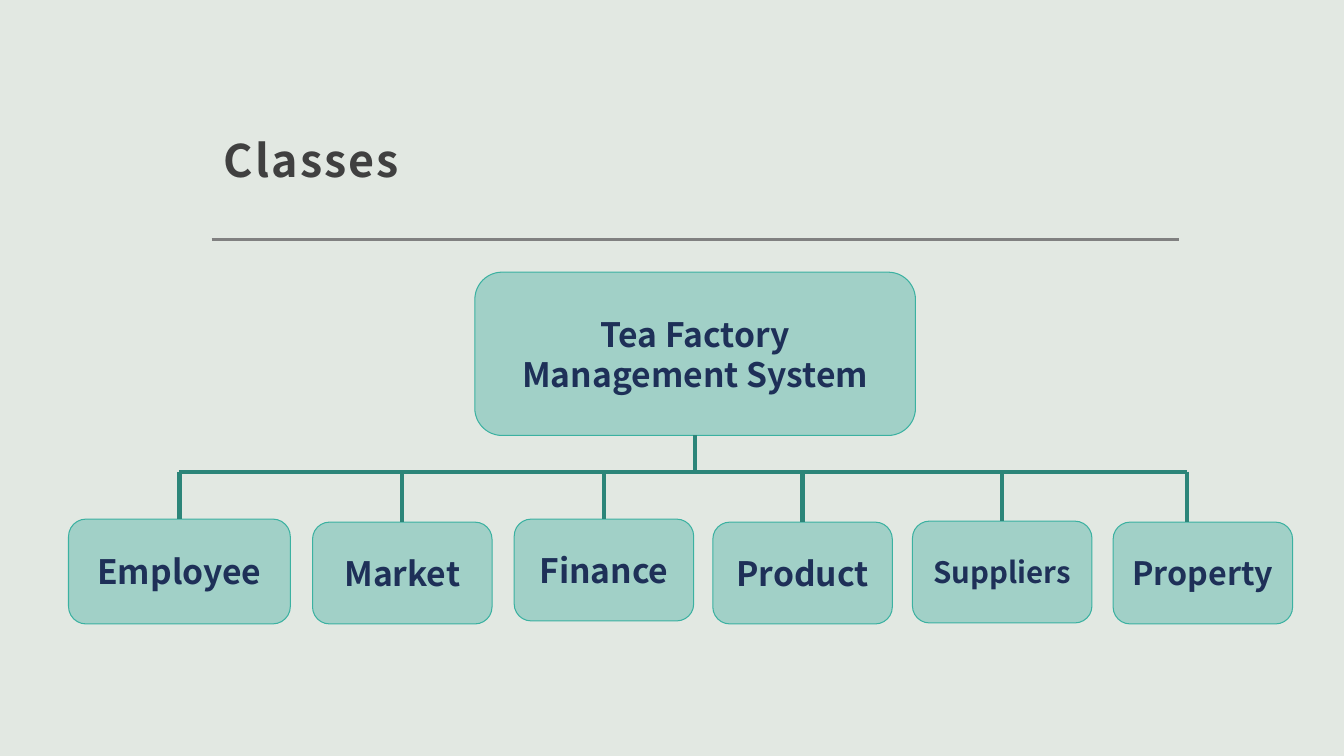
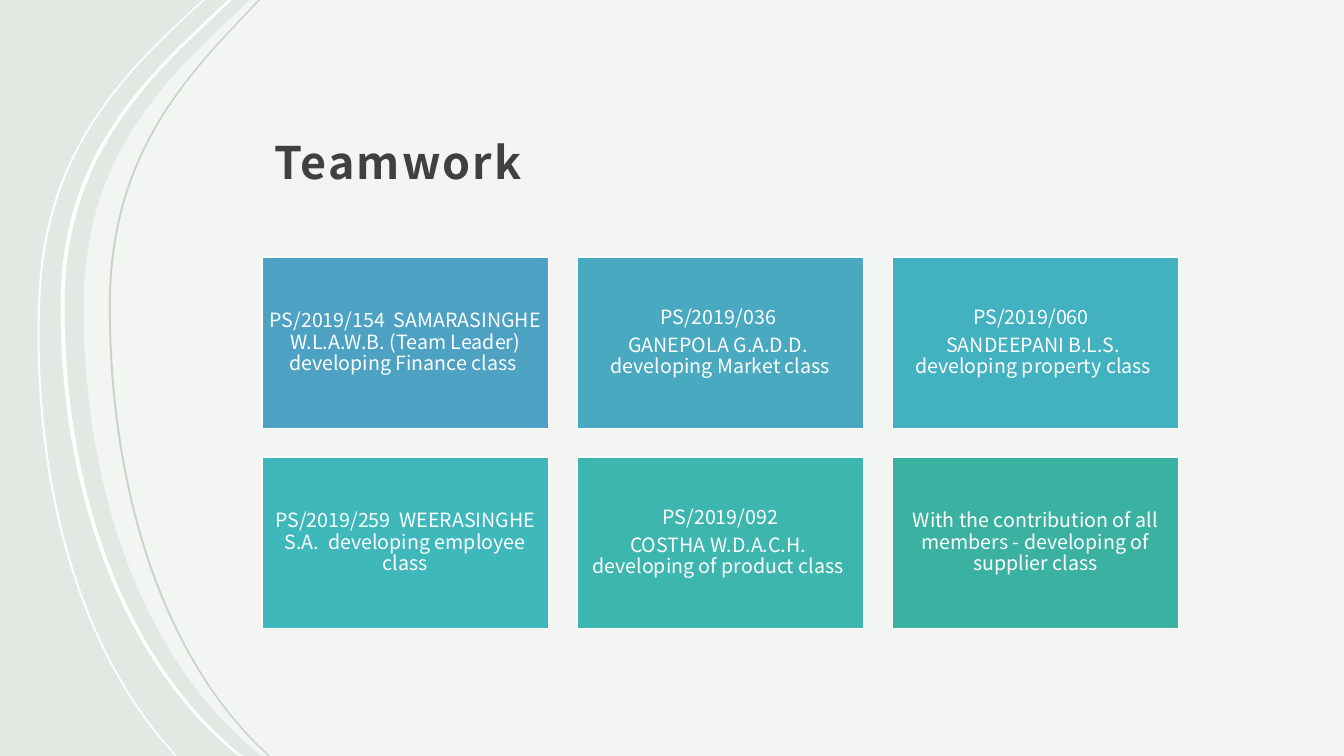
import lxml.etree
import pptx
import pptx.dml.color
import pptx.enum.shapes
import pptx.enum.text
import pptx.oxml.ns
import pptx.util

Inches, Pt = pptx.util.Inches, pptx.util.Pt
SHAPES = pptx.enum.shapes.MSO_SHAPE
ALIGN = pptx.enum.text.PP_ALIGN
ANCHOR = pptx.enum.text.MSO_ANCHOR
qn = pptx.oxml.ns.qn

WIDTH, HEIGHT = 13.33, 7.5
FONT = "Noto Sans CJK JP"
COLOURS = {
    "background": "E2E8E2", "title": "404040", "rule": "808080",
    "box": "A1D0C7", "box_edge": "3BB1A1", "box_text": "1E3058",
    "branch": "2C8579", "white": "FFFFFF", "thin_arc": "C8D4C8",
}

SYSTEM = ("Tea Factory Management System", 4.71, 2.7, 4.37, 1.62, 24)
CLASSES = [
    ("Employee", 0.68, 5.15, 2.2, 1.04, 24),
    ("Market", 3.1, 5.18, 1.78, 1.01, 24),
    ("Finance", 5.1, 5.15, 1.78, 1.01, 24),
    ("Product", 7.07, 5.18, 1.78, 1.01, 24),
    ("Suppliers", 9.05, 5.17, 1.78, 1.01, 21),
    ("Property", 11.04, 5.18, 1.78, 1.01, 23),
]
BUS_LEFT, BUS_RIGHT, BUS_TOP = 1.78, 11.77, 4.68

MEMBERS = [
    ("4DA2C3", ["PS/2019/154  SAMARASINGHE W.L.A.W.B. (Team Leader) developing Finance class "]),
    ("48A9C1", ["PS/2019/036 ", "GANEPOLA G.A.D.D.  developing Market class"]),
    ("42B1C0", ["PS/2019/060  ", "SANDEEPANI B.L.S.  developing property class "]),
    ("3FB8BC", ["PS/2019/259  WEERASINGHE S.A.  developing employee class"]),
    ("3DB6B0", ["PS/2019/092", "COSTHA W.D.A.C.H.  developing of product class "]),
    ("3BB1A1", ["With the contribution of all members - developing of supplier class"]),
]
CARD_COLUMNS = 3
CARDS_LEFT, CARDS_RIGHT, CARDS_TOP = 2.6, 11.69, 2.55
CARD_WIDTH, CARD_HEIGHT = 2.84, 1.7
CARD_GAP = (CARDS_RIGHT - CARDS_LEFT - CARD_COLUMNS * CARD_WIDTH) / (CARD_COLUMNS - 1)

ARC_Y = [0, 0.35, 1.04, 1.79, 3.04, 4.92, 6.57, 7.48, 7.5]
OUTER_ARC_Y = [0, 0.24, 0.93, 1.68, 2.97, 4.8, 6.45, 7.47, 7.5]
PANEL_X = [2.48, 2.11, 1.39, 0.83, 0.83, 0.83, 1.45, 2.57, 2.59]
ARCS = [
    ([2.01, 1.75, 1.02, 0.43, 0.38, 0.31, 0.78, 1.71, 1.73], OUTER_ARC_Y, 0.02, "white"),
    ([2.26, 1.89, 1.17, 0.6, 0.6, 0.6, 1.23, 2.34, 2.37], ARC_Y, 0.04, "white"),
    ([2.56, 2.23, 1.59, 1.08, 1.08, 1.08, 1.64, 2.64, 2.66], ARC_Y, 0.02, "thin_arc"),
]
EDGE_CURVES = [1, 4]
RIBBON_CURVES = EDGE_CURVES + [len(ARC_Y) + start for start in EDGE_CURVES]


def rgb(name):
    return pptx.dml.color.RGBColor.from_string(COLOURS.get(name, name))


def paint(shape, fill, edge=None, edge_width=0):
    shape.shadow.inherit = False
    shape.fill.solid()
    shape.fill.fore_color.rgb = rgb(fill)
    if edge:
        shape.line.color.rgb = rgb(edge)
        shape.line.width = Pt(edge_width)
    else:
        shape.line.fill.background()


def add_run(paragraph, text, size, colour, bold=False):
    run = paragraph.add_run()
    run.text = text
    run.font.name, run.font.size, run.font.bold = FONT, Pt(size), bold
    run.font.color.rgb = rgb(colour)
    return run


def add_slide(deck, title, left, top, width):
    slide = deck.slides.add_slide(deck.slide_layouts[5])
    heading = slide.shapes.title
    heading.left, heading.top = Inches(left), Inches(top)
    heading.width, heading.height = Inches(width), Inches(1.47)
    frame = heading.text_frame
    frame.auto_size = pptx.enum.text.MSO_AUTO_SIZE.NONE
    frame.vertical_anchor = ANCHOR.BOTTOM
    frame.margin_left = frame.margin_right = frame.margin_top = Inches(0.12)
    frame.margin_bottom = Inches(0.1)
    paragraph = frame.paragraphs[0]
    paragraph.alignment = ALIGN.LEFT
    paragraph.line_spacing = 1.3
    run = add_run(paragraph, title, 32, "title", True)
    run._r.get_or_add_rPr().set("spc", "150")
    return slide


def add_line(slide, start, end, colour, width):
    line = slide.shapes.add_connector(
        pptx.enum.shapes.MSO_CONNECTOR.STRAIGHT, *map(Inches, start + end))
    line.line.color.rgb = rgb(colour)
    line.line.width = Pt(width)
    lxml.etree.SubElement(line._element.spPr, qn("a:effectLst"))
    return line


def add_class(slide, name, left, top, width, height, size):
    box = slide.shapes.add_shape(
        SHAPES.ROUNDED_RECTANGLE, *map(Inches, (left, top, width, height)))
    paint(box, "box", "box_edge", 0.75)
    paragraph = box.text_frame.paragraphs[0]
    paragraph.alignment = ALIGN.CENTER
    add_run(paragraph, name, size, "box_text", True)
    return box


def add_outline(slide, points, curve_starts, colour):
    thousandths = [(x * 1000, y * 1000) for x, y in points]
    builder = slide.shapes.build_freeform(*thousandths[0], scale=Inches(1) / 1000)
    builder.add_line_segments(thousandths[1:], close=True)
    outline = builder.convert_to_shape()
    segments = list(outline._element.spPr.iter(qn("a:lnTo")))
    for start in curve_starts:
        curve = lxml.etree.Element(qn("a:cubicBezTo"))
        segments[start].addprevious(curve)
        for segment in segments[start:start + 3]:
            curve.append(segment[0])
            segment.getparent().remove(segment)
    paint(outline, colour)
    return outline


def build_classes(deck):
    slide = add_slide(deck, "Classes", 2.1, 0.48, 9.59)
    add_line(slide, (2.1, 2.38), (11.69, 2.38), "rule", 2)
    system = add_class(slide, *SYSTEM)
    boxes = [add_class(slide, *entry) for entry in CLASSES]
    add_line(slide, (BUS_LEFT, BUS_TOP), (BUS_RIGHT, BUS_TOP), "branch", 3)
    for box, (_, left, top, width, _, _) in zip(boxes, CLASSES):
        centre = left + width / 2
        x = min(centre, BUS_RIGHT)
        drop = add_line(slide, (x, BUS_TOP), (x, top), "branch", 3)
        if x == centre:
            drop.end_connect(box, 0)
    _, left, top, width, height, _ = SYSTEM
    x = left + width / 2
    trunk = add_line(slide, (x, top + height), (x, BUS_TOP), "branch", 3)
    trunk.begin_connect(system, 2)


def build_teamwork(deck):
    slide = add_slide(deck, "Teamwork", 2.6, 0.5, 9.18)
    panel_edge = list(zip(PANEL_X, ARC_Y))
    panel = add_outline(
        slide, panel_edge + [(WIDTH, HEIGHT), (WIDTH, 0)], EDGE_CURVES, "white")
    tint = panel._element.spPr.find(".//" + qn("a:srgbClr"))
    lxml.etree.SubElement(tint, qn("a:alpha")).set("val", "60000")
    for xs, ys, thickness, colour in ARCS:
        outer = list(zip(xs, ys))
        inner = [(x + thickness, y) for x, y in outer]
        add_outline(slide, outer + inner[::-1], RIBBON_CURVES, colour)
    heading = slide.shapes.title._element
    heading.getparent().append(heading)

    for index, (colour, lines) in enumerate(MEMBERS):
        row, column = divmod(index, CARD_COLUMNS)
        card = slide.shapes.add_shape(
            SHAPES.RECTANGLE,
            Inches(CARDS_LEFT + column * (CARD_WIDTH + CARD_GAP)),
            Inches(CARDS_TOP + row * (CARD_HEIGHT + CARD_GAP)),
            Inches(CARD_WIDTH), Inches(CARD_HEIGHT))
        paint(card, colour, "white", 1)
        frame = card.text_frame
        frame.margin_left = frame.margin_right = Inches(0.06)
        frame.margin_top = frame.margin_bottom = Inches(0.06)
        for number, text in enumerate(lines):
            paragraph = frame.add_paragraph() if number else frame.paragraphs[0]
            paragraph.alignment = ALIGN.CENTER
            paragraph.line_spacing = 0.9
            paragraph.space_after = Pt(5)
            add_run(paragraph, text, 14, "white")


def main():
    deck = pptx.Presentation()
    deck.slide_width, deck.slide_height = Inches(WIDTH), Inches(HEIGHT)
    backdrop = deck.slide_master.background.fill
    backdrop.solid()
    backdrop.fore_color.rgb = rgb("background")
    build_classes(deck)
    build_teamwork(deck)
    deck.save("out.pptx")


if __name__ == "__main__":
    main()
